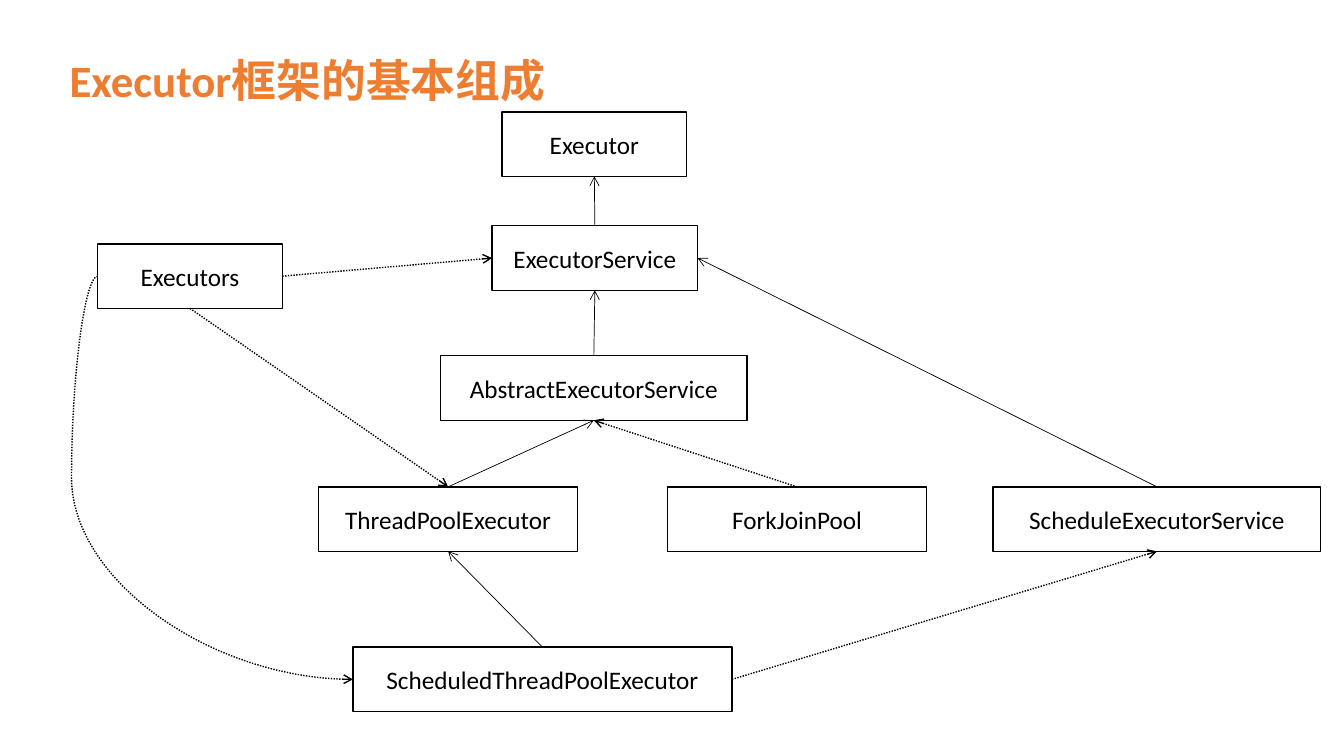
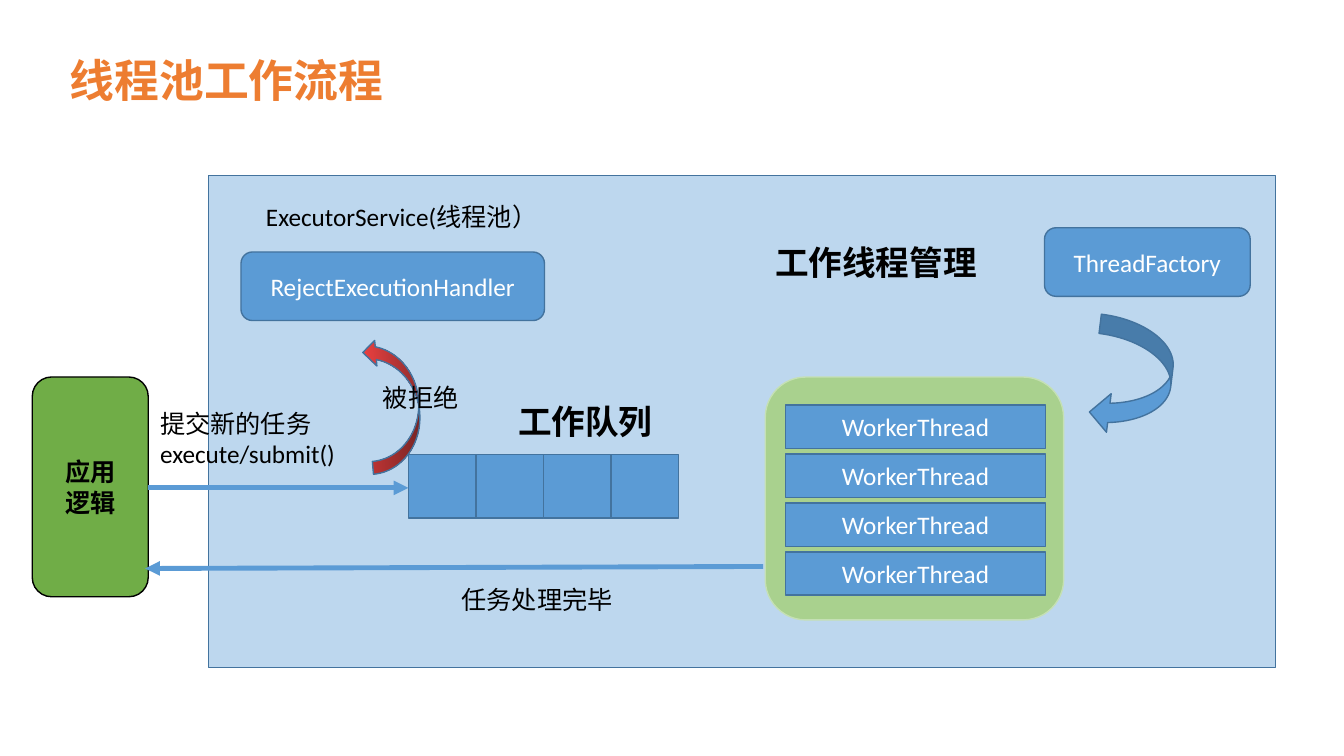
from lxml.etree import SubElement
from pptx import Presentation
from pptx.dml.color import RGBColor
from pptx.enum.dml import MSO_LINE
from pptx.enum.shapes import MSO_CONNECTOR, MSO_SHAPE
from pptx.enum.text import MSO_ANCHOR, MSO_AUTO_SIZE, PP_ALIGN
from pptx.oxml.ns import qn
from pptx.util import Inches, Pt

ORANGE = RGBColor(0xED, 0x7D, 0x31)
BLACK = RGBColor(0x00, 0x00, 0x00)
WHITE = RGBColor(0xFF, 0xFF, 0xFF)
BLUE = RGBColor(0x5B, 0x9B, 0xD5)
DARK_BLUE = RGBColor(0x43, 0x73, 0x9E)
PALE_BLUE = RGBColor(0xBD, 0xD7, 0xEE)
GREEN = RGBColor(0x70, 0xAD, 0x47)
LIGHT_GREEN = RGBColor(0xA9, 0xD1, 0x8E)
PALE_GREEN = RGBColor(0xC5, 0xE0, 0xB4)
BRIGHT_RED = RGBColor(0xFE, 0x44, 0x44)
DARK_RED = RGBColor(0x83, 0x2B, 0x2B)
FONT = "Calibri"

TITLES = ["Executor框架的基本组成", "线程池工作流程"]

TOP, LEFT, BOTTOM, RIGHT = range(4)
CLASS_HEIGHT = 0.64
CLASSES = {
    "Executors": (0.97, 2.42, 1.83),
    "ThreadPoolExecutor": (3.16, 4.83, 2.57),
    "ScheduledThreadPoolExecutor": (3.5, 6.42, 3.76),
    "ForkJoinPool": (6.62, 4.83, 2.57),
    "AbstractExecutorService": (4.37, 3.53, 3.04),
    "Executor": (4.98, 1.11, 1.83),
    "ExecutorService": (4.88, 2.24, 2.04),
    "ScheduleExecutorService": (9.85, 4.83, 3.25),
}
INHERITS = [
    ("ExecutorService", TOP, "Executor", BOTTOM),
    ("ScheduleExecutorService", TOP, "ExecutorService", RIGHT),
    ("ThreadPoolExecutor", TOP, "AbstractExecutorService", BOTTOM),
    ("ScheduledThreadPoolExecutor", TOP, "ThreadPoolExecutor", BOTTOM),
    ("AbstractExecutorService", TOP, "ExecutorService", BOTTOM),
]
DEPENDS = [
    ("Executors", RIGHT, "ExecutorService", LEFT),
    ("Executors", BOTTOM, "ThreadPoolExecutor", TOP),
    ("Executors", LEFT, "ScheduledThreadPoolExecutor", LEFT),
    ("ScheduledThreadPoolExecutor", RIGHT, "ScheduleExecutorService", BOTTOM),
    ("ForkJoinPool", TOP, "AbstractExecutorService", BOTTOM),
]
CURVE_BULGE = -10300

QUEUE_SLOTS = 4
QUEUE_LEFT, QUEUE_TOP, SLOT_WIDTH, SLOT_HEIGHT = 4.05, 4.51, 0.67, 0.63
WORKERS = ["WorkerThread"] * 4
WORKER_LEFT, WORKER_TOP, WORKER_PITCH = 7.79, 4.02, 0.485
FLOWS = [((1.47, 4.84), (4.05, 4.84)), ((7.57, 5.62), (1.44, 5.64))]
LABELS = [
    ("ExecutorService(线程池）", (2.54, 1.95, 3.46, 0.4), 18, False),
    ("提交新的任务\nexecute/submit()", (1.49, 4, 2.09, 0.71), 18, False),
    ("被拒绝", (3.7, 3.74, 1.14, 0.4), 18, False),
    ("工作队列", (5.04, 3.93, 1.68, 0.5), 24, True),
    ("工作线程管理", (7.59, 2.35, 2.47, 0.5), 24, True),
    ("任务处理完毕", (4.48, 5.75, 2, 0.4), 18, False),
]


def write_text(shape, text, size, color, bold=False, align=PP_ALIGN.LEFT, anchor=MSO_ANCHOR.TOP):
    frame = shape.text_frame
    frame.text = text
    frame.word_wrap = True
    frame.vertical_anchor = anchor
    for paragraph in frame.paragraphs:
        paragraph.alignment = align
        for run in paragraph.runs:
            run.font.name = FONT
            run.font.size = Pt(size)
            run.font.bold = bold
            run.font.color.rgb = color


def add_titled_slide(title):
    slide = presentation.slides.add_slide(presentation.slide_layouts[5])
    shape = slide.shapes.title
    shape.left, shape.top, shape.width, shape.height = map(Inches, (0.59, 0.47, 6.19, 0.64))
    write_text(shape, title, 32, ORANGE, bold=True)
    shape.text_frame.auto_size = MSO_AUTO_SIZE.SHAPE_TO_FIT_TEXT
    return slide


def add_box(slide, box, fill=BLUE, line=DARK_BLUE, kind=MSO_SHAPE.RECTANGLE,
            text="", color=WHITE, bold=False):
    shape = slide.shapes.add_shape(kind, *map(Inches, box))
    shape.shadow.inherit = False
    if fill is None:
        shape.fill.background()
    else:
        shape.fill.solid()
        shape.fill.fore_color.rgb = fill
    shape.line.color.rgb = line
    shape.line.width = Pt(1)
    if text:
        write_text(shape, text, 18, color, bold, PP_ALIGN.CENTER, MSO_ANCHOR.MIDDLE)
    return shape


def add_label(slide, text, box, size, bold):
    label = slide.shapes.add_textbox(*map(Inches, box))
    write_text(label, text, size, BLACK, bold)
    label.text_frame.auto_size = MSO_AUTO_SIZE.SHAPE_TO_FIT_TEXT


def add_arrow(slide, color, width, head, start=(0, 0), end=(0, 0), kind=MSO_CONNECTOR.STRAIGHT, dash=None):
    arrow = slide.shapes.add_connector(kind, *map(Inches, start + end))
    arrow.line.color.rgb = color
    arrow.line.width = Pt(width)
    if dash is not None:
        arrow.line.dash_style = dash
    properties = arrow._element.spPr
    SubElement(properties.find(qn("a:ln")), qn("a:tailEnd"), type=head)
    SubElement(properties, qn("a:effectLst"))
    return arrow


def add_relation(slide, boxes, relation, width, dash=None):
    source, source_side, target, target_side = relation
    curved = source_side == target_side
    kind = MSO_CONNECTOR.CURVE if curved else MSO_CONNECTOR.STRAIGHT
    arrow = add_arrow(slide, BLACK, width, "arrow", kind=kind, dash=dash)
    arrow.begin_connect(boxes[source], source_side)
    arrow.end_connect(boxes[target], target_side)
    if curved:
        adjustments = arrow._element.spPr.find(qn("a:prstGeom")).find(qn("a:avLst"))
        SubElement(adjustments, qn("a:gd"), name="adj1", fmla=f"val {CURVE_BULGE}")


def build_class_slide(slide):
    boxes = {
        name: add_box(slide, (left, top, width, CLASS_HEIGHT), None, BLACK, text=name, color=BLACK)
        for name, (left, top, width) in CLASSES.items()
    }
    for relation in INHERITS:
        add_relation(slide, boxes, relation, 0.5)
    for relation in DEPENDS:
        add_relation(slide, boxes, relation, 1, MSO_LINE.ROUND_DOT)


def build_flow_slide(slide):
    rounded = MSO_SHAPE.ROUNDED_RECTANGLE
    add_box(slide, (0.32, 3.74, 1.15, 2.18), GREEN, BLACK, rounded, "应用\n逻辑", BLACK, True)
    add_box(slide, (2.07, 1.74, 10.58, 4.88), PALE_BLUE)
    add_box(slide, (2.39, 2.5, 3.01, 0.68), kind=rounded, text="RejectExecutionHandler")
    add_box(slide, (10.36, 2.26, 2.04, 0.68), kind=rounded, text="ThreadFactory")
    for index in range(QUEUE_SLOTS):
        add_box(slide, (QUEUE_LEFT + index * SLOT_WIDTH, QUEUE_TOP, SLOT_WIDTH, SLOT_HEIGHT))

    reject_arrow = add_box(slide, (3.23, 3.76, 1.34, 0.51), kind=MSO_SHAPE.CURVED_UP_ARROW)
    reject_arrow.rotation = 265
    reject_arrow.fill.gradient()
    reject_arrow.fill.gradient_angle = 270
    for stop, color in zip(reject_arrow.fill.gradient_stops, (BRIGHT_RED, DARK_RED)):
        stop.color.rgb = color
    factory_arrow = add_box(slide, (10.85, 3.16, 0.77, 1.17), kind=MSO_SHAPE.CURVED_LEFT_ARROW)
    factory_arrow.rotation = 7

    add_box(slide, (7.59, 3.74, 2.96, 2.41), LIGHT_GREEN, PALE_GREEN, rounded)
    for index, worker in enumerate(WORKERS):
        add_box(slide, (WORKER_LEFT, WORKER_TOP + index * WORKER_PITCH, 2.58, 0.43), text=worker)
    for start, end in FLOWS:
        add_arrow(slide, BLUE, 3.5, "triangle", start, end)
    for label in LABELS:
        add_label(slide, *label)


presentation = Presentation()
presentation.slide_width = Inches(13.33)
presentation.slide_height = Inches(7.5)
for title, build in zip(TITLES, (build_class_slide, build_flow_slide)):
    build(add_titled_slide(title))
presentation.save("out.pptx")
